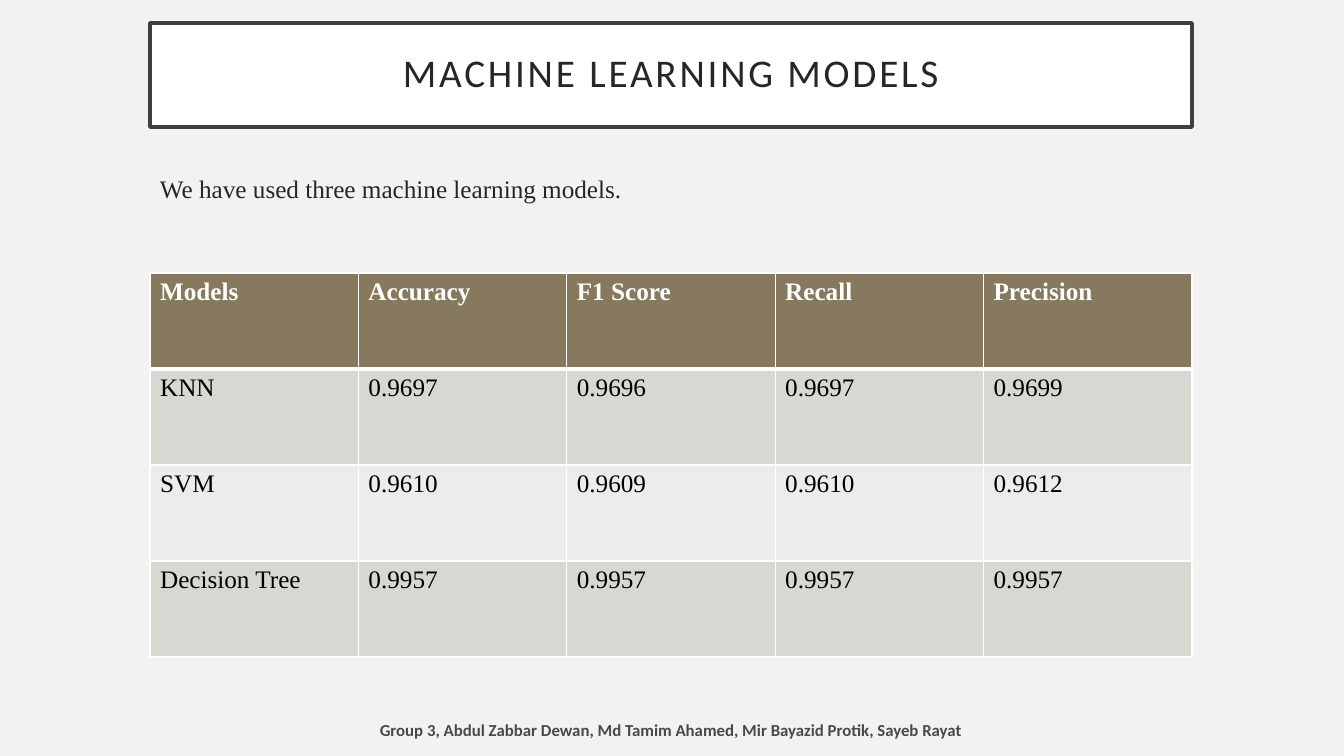
from lxml import etree
from pptx import Presentation, util as u
from pptx.dml.color import RGBColor
from pptx.enum import text
from pptx.oxml.ns import qn

COLORS = {"page": "F2F2F2", "white": "FFFFFF", "frame": "404040", "ink": "262626",
          "black": "000000", "footer": "494949", "header": "87795D",
          "odd": "D9D7D2", "even": "EDECEA"}
LEFT, WIDTH = 150, 1042
RESULTS = [
    ["Models", "Accuracy", "F1 Score", "Recall", "Precision"],
    ["KNN", "0.9697", "0.9696", "0.9697", "0.9699"],
    ["SVM", "0.9610", "0.9609", "0.9610", "0.9612"],
    ["Decision Tree", "0.9957", "0.9957", "0.9957", "0.9957"],
]


def color(name):
    return RGBColor.from_string(COLORS[name])


class Deck:
    scale = 914400 / 100.8
    styles = {
        "title": {"name": "Calibri", "size": u.Pt(28), "bold": False, "color": "ink"},
        "body": {"name": "Times New Roman", "size": u.Pt(18), "bold": False, "color": "ink"},
        "head": {"name": "Times New Roman", "size": u.Pt(18), "bold": True, "color": "white"},
        "cell": {"name": "Times New Roman", "size": u.Pt(18), "bold": False, "color": "black"},
        "footer": {"name": "Calibri", "size": u.Pt(12), "bold": True, "color": "footer"},
    }

    def __init__(self):
        self.prs = Presentation()
        self.prs.slide_width, self.prs.slide_height = self.px(1344), self.px(756)
        self.s = self.prs.slides.add_slide(self.prs.slide_layouts[5])
        fill = self.s.background.fill
        fill.solid()
        fill.fore_color.rgb = color("page")

    def px(self, n):
        return u.Emu(round(n * self.scale))

    def put_text(self, tf, words, style, align=text.PP_ALIGN.LEFT):
        p = tf.paragraphs[0]
        p.alignment = align
        r = p.add_run()
        r.text = words
        for key, value in self.styles[style].items():
            if key == "color":
                r.font.color.rgb = color(value)
            else:
                setattr(r.font, key, value)
        return p, r

    def title(self, words, x, y, w, h):
        sp = self.s.shapes.title
        for key, value in zip(("left", "top", "width", "height"), (x, y, w, h)):
            setattr(sp, key, self.px(value))
        sp.fill.solid()
        sp.fill.fore_color.rgb = color("white")
        sp.line.color.rgb = color("frame")
        sp.line.width = u.Pt(2.5)
        tf = sp.text_frame
        tf.vertical_anchor = text.MSO_ANCHOR.MIDDLE
        tf.auto_size = text.MSO_AUTO_SIZE.NONE
        for side in ("left", "top", "right", "bottom"):
            setattr(tf, f"margin_{side}", self.px(20))
        p, r = self.put_text(tf, words, "title", text.PP_ALIGN.CENTER)
        p.line_spacing = 0.9
        r._r.get_or_add_rPr().set("spc", "200")

    def label(self, words, x, y, w, h, style, align=text.PP_ALIGN.LEFT,
              anchor=text.MSO_ANCHOR.TOP):
        sp = self.s.shapes.add_textbox(*map(self.px, (x, y, w, h)))
        tf = sp.text_frame
        tf.word_wrap = True
        tf.vertical_anchor = anchor
        self.put_text(tf, words, style, align)

    def borders(self, cell, bottom):
        tc_pr = cell._tc.get_or_add_tcPr()
        widths = {"lnL": 1, "lnR": 1, "lnT": 1, "lnB": bottom}
        for i, (tag, width) in enumerate(widths.items()):
            ln = etree.Element(qn(f"a:{tag}"), w=str(u.Pt(width)))
            solid = etree.SubElement(ln, qn("a:solidFill"))
            etree.SubElement(solid, qn("a:srgbClr"), val=COLORS["white"])
            tc_pr.insert(i, ln)

    def table(self, rows, x, y, w, row_h):
        count = len(rows[0])
        frame = self.s.shapes.add_table(
            len(rows), count, *map(self.px, (x, y, w, row_h * len(rows))))
        table = frame.table
        for col in table.columns:
            col.width = self.px(w / count)
        for i, values in enumerate(rows):
            table.rows[i].height = self.px(row_h)
            fill = "header" if i == 0 else "odd" if i % 2 else "even"
            for j, value in enumerate(values):
                cell = table.cell(i, j)
                cell.fill.solid()
                cell.fill.fore_color.rgb = color(fill)
                self.put_text(cell.text_frame, value, "cell" if i else "head")
                self.borders(cell, 1 if i else 3)


def main():
    deck = Deck()
    deck.title("MACHINE LEARNING MODELS", LEFT, 23, WIDTH, 104)
    deck.label("We have used three machine learning models.", LEFT, 168, WIDTH, 80, "body")
    deck.table(RESULTS, LEFT, 273, WIDTH, 96)
    deck.label("Group 3, Abdul Zabbar Dewan, Md Tamim Ahamed, Mir Bayazid Protik, Sayeb Rayat",
               LEFT, 712, WIDTH, 35, "footer", text.PP_ALIGN.CENTER, text.MSO_ANCHOR.MIDDLE)
    deck.prs.save("out.pptx")


if __name__ == "__main__":
    main()
